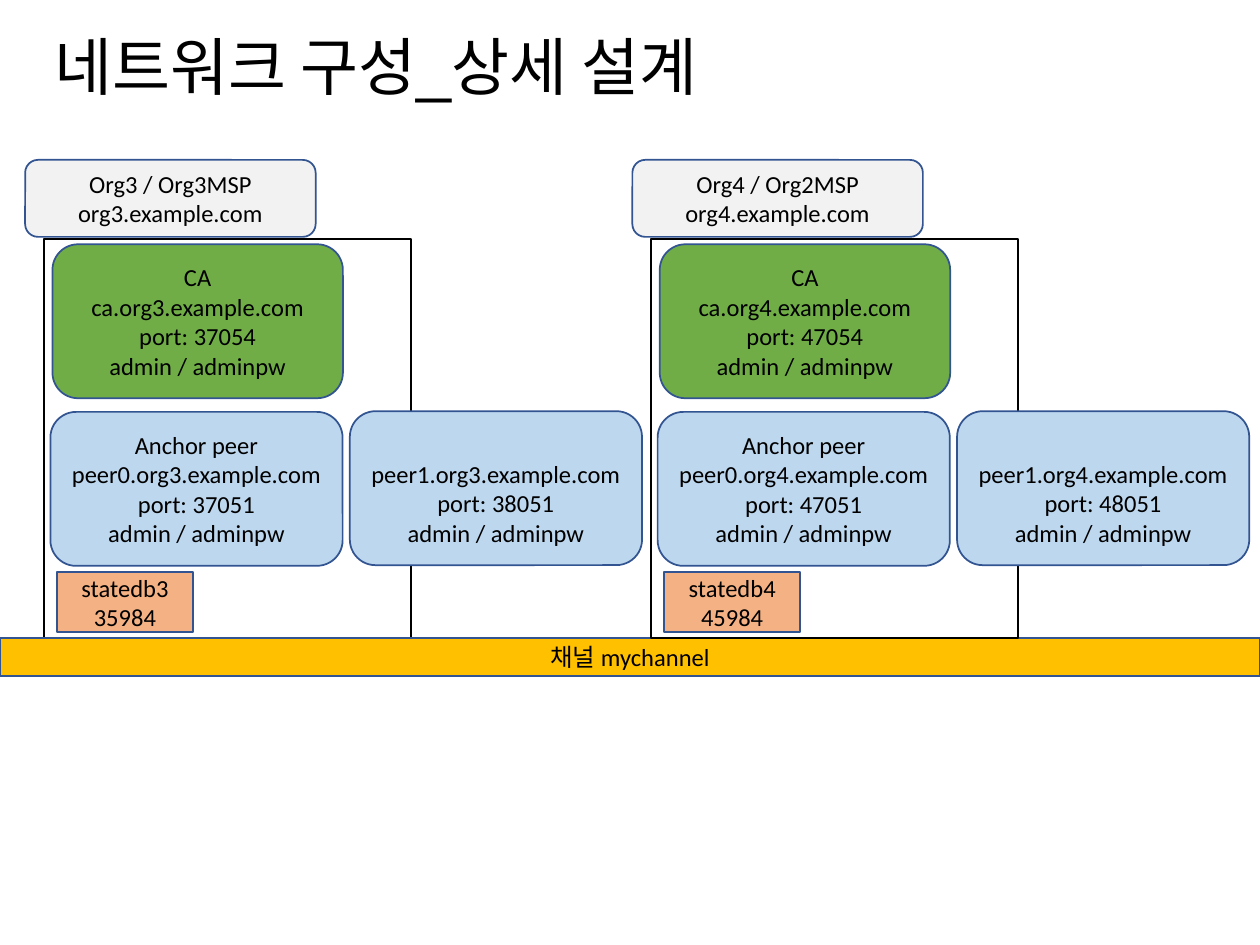
import pptx
import pptx.util
import pptx.dml.color
import pptx.enum.shapes
import pptx.enum.text

Pt = pptx.util.Pt
RECT = pptx.enum.shapes.MSO_SHAPE.RECTANGLE
ROUND = pptx.enum.shapes.MSO_SHAPE.ROUNDED_RECTANGLE
ALIGN = pptx.enum.text.PP_ALIGN
MIDDLE = pptx.enum.text.MSO_ANCHOR.MIDDLE
COLORS = {"ink": "000000", "edge": "325491", "bar": "FFC000", "ca": "70AD47",
          "peer": "BDD7EE", "org": "F2F2F2", "db": "F4B183"}


def color(name):
    """Return the named colour."""
    return pptx.dml.color.RGBColor.from_string(COLORS[name])


def add_box(kind, left, top, width, height, fill=None, text="", edge="edge"):
    """Add an outlined box with centred text; a box without fill is open."""
    box = slide.shapes.add_shape(kind, Pt(left), Pt(top), Pt(width), Pt(height))
    box.shadow.inherit = False
    box.line.color.rgb = color(edge)
    box.line.width = Pt(1)
    if fill:
        box.fill.solid()
        box.fill.fore_color.rgb = color(fill)
    else:
        box.fill.background()
    if text:
        frame = box.text_frame
        frame.text = text
        frame.word_wrap = True
        frame.vertical_anchor = MIDDLE
        for para in frame.paragraphs:
            para.alignment = ALIGN.CENTER
            para.font.name = "Calibri"
            para.font.size = Pt(14)
            para.font.color.rgb = color("ink")


deck = pptx.Presentation()
deck.slide_width = Pt(720)
deck.slide_height = Pt(540)
slide = deck.slides.add_slide(deck.slide_layouts[5])

title = slide.shapes.title
title.left, title.top, title.width, title.height = Pt(24), Pt(11), Pt(660), Pt(58)
title.text_frame.text = "네트워크 구성_상세 설계"
title.text_frame.auto_size = pptx.enum.text.MSO_AUTO_SIZE.NONE
title.text_frame.vertical_anchor = MIDDLE
para = title.text_frame.paragraphs[0]
para.alignment = ALIGN.LEFT
para.line_spacing = 0.9
para.font.name = "Arial"
para.font.size = Pt(36)
para.font.color.rgb = color("ink")

# Each organisation: number, MSP name, left edge of its group
orgs = [(3, "Org3MSP", 14.4), (4, "Org2MSP", 361.4)]
login = "admin / adminpw"
for num, msp, left in orgs:
    host = f"org{num}.example.com"
    add_box(RECT, left + 10.6, 136.5, 210, 228, edge="ink")
    if num == 3:
        add_box(RECT, 0, 364.5, 720, 21.8, "bar", "채널 mychannel")
    add_box(ROUND, left + 15.6, 139.6, 166, 88, "ca",
            f"CA\vca.{host}\vport: {num}7054\v{login}")
    add_box(ROUND, left + 14.4, 235.4, 167, 88, "peer",
            f"Anchor peer\vpeer0.{host}\vport: {num}7051\v{login}")
    add_box(ROUND, left, 91.4, 166, 44, "org", f"Org{num} / {msp}\n{host}")
    add_box(RECT, left + 18, 327, 78, 34, "db", f"statedb{num}\v{num}5984")
    add_box(ROUND, left + 185.5, 235, 167, 88, "peer",
            f"\vpeer1.{host}\vport: {num}8051\v{login}")

deck.save("out.pptx")
